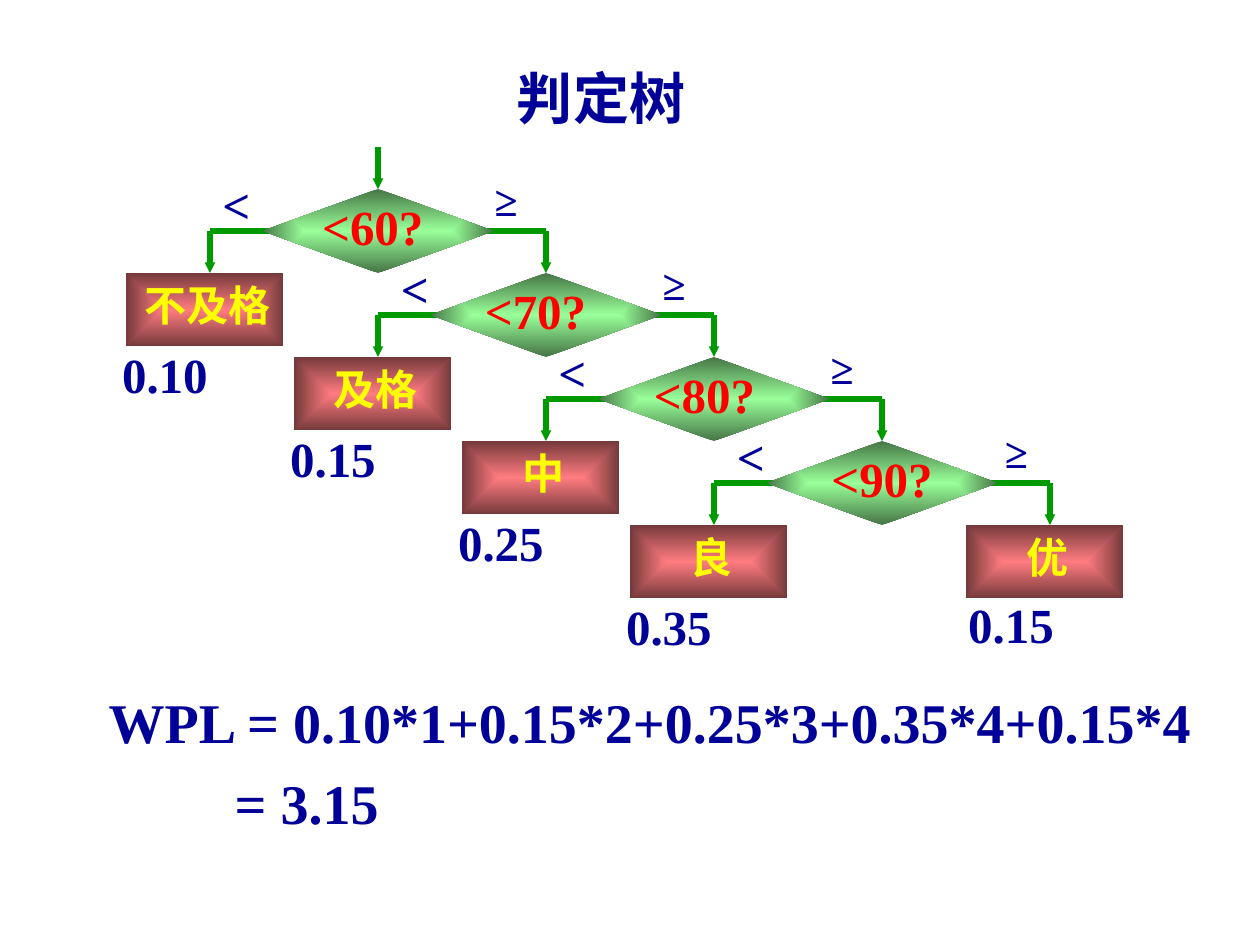
from lxml import etree
from pptx import Presentation
from pptx.dml.color import RGBColor
from pptx.enum.shapes import MSO_CONNECTOR, MSO_SHAPE
from pptx.enum.text import MSO_ANCHOR, MSO_AUTO_SIZE, PP_ALIGN
from pptx.oxml.ns import qn
from pptx.util import Pt

STRAIGHT = MSO_CONNECTOR.STRAIGHT
DECISION = MSO_SHAPE.FLOWCHART_DECISION
RECTANGLE = MSO_SHAPE.RECTANGLE
MIDDLE = MSO_ANCHOR.MIDDLE
FIT_TEXT = MSO_AUTO_SIZE.SHAPE_TO_FIT_TEXT
LEFT, CENTER = PP_ALIGN.LEFT, PP_ALIGN.CENTER

COLORS = {
    "ink": "000099",
    "branch": "009900",
    "question": "FF0000",
    "grade": "FFFF00",
    "decision_core": "99FF99",
    "decision_edge": "467546",
    "leaf_core": "FF7C80",
    "leaf_edge": "75393B",
}

STEP_X, STEP_Y = 96, 48  # offset from one tree level to the next
LEAF_W, LEAF_H = 90, 42
DECISION_W, DECISION_H = 132, 48
GRADE_SIZE = 24

# question, its left; left of "<"; left of "≥"; grade and weight of the leaf
LEVELS = [
    ("<60?", 176, 120, 275.5, "不及格", "0.10"),
    ("<70?", 269, 222, 371.5, "及格", "0.15"),
    ("<80?", 365.5, 312, 467.5, "中", "0.25"),
    ("<90?", 467, 414, 567, "良", "0.35"),
]


def color(name):
    return RGBColor.from_string(COLORS[name])


def write(paragraph, text, size=28, ink="ink", align=CENTER, before=None, indent=0):
    if indent:
        paragraph._p.get_or_add_pPr().set("marL", str(Pt(indent)))
    paragraph.alignment = align
    if before:
        paragraph.space_before = Pt(before)
    run = paragraph.add_run()
    run.text = text
    run.font.name = "Times New Roman"
    run.font.size = Pt(size)
    run.font.bold = True
    run.font.color.rgb = color(ink)


class TreeSlide:
    """Holds the slide and draws every kind of element on it, in points."""

    def __init__(self, slide):
        self.slide = slide

    def text(self, left, top, width, height, text, **style):
        box = self.slide.shapes.add_textbox(Pt(left), Pt(top), Pt(width), Pt(height))
        frame = box.text_frame
        frame.word_wrap = False
        frame.auto_size = FIT_TEXT
        frame.vertical_anchor = MIDDLE
        write(frame.paragraphs[0], text, **style)
        return frame

    def glow(self, kind, left, top, width, height, name):
        """Add a shape shaded from its centre to its edges."""
        shape = self.slide.shapes.add_shape(
            kind, Pt(left), Pt(top), Pt(width), Pt(height))
        shape.shadow.inherit = False
        shape.line.fill.background()
        shape.fill.gradient()
        for stop, part in zip(shape.fill.gradient_stops, ("core", "edge")):
            stop.color.rgb = color(f"{name}_{part}")
        gradient = shape._element.spPr.find(qn("a:gradFill"))
        gradient.remove(gradient.find(qn("a:lin")))
        shading = etree.SubElement(gradient, qn("a:path"), path="rect")
        etree.SubElement(shading, qn("a:fillToRect"),
                         l="50000", t="50000", r="50000", b="50000")
        return shape

    def line(self, x1, y1, x2, y2, arrow=False):
        connector = self.slide.shapes.add_connector(
            STRAIGHT, Pt(x1), Pt(y1), Pt(x2), Pt(y2))
        connector.line.color.rgb = color("branch")
        connector.line.width = Pt(3)
        if arrow:
            etree.SubElement(connector.line._get_or_add_ln(), qn("a:tailEnd"),
                             type="triangle", w="sm", len="sm")
        etree.SubElement(connector._element.spPr, qn("a:effectLst"))
        return connector

    def decision(self, left, top):
        """Add a diamond with the two arms that leave its sides."""
        middle = top + DECISION_H / 2
        right = left + DECISION_W
        self.line(left + 6, middle, left - 30, middle)
        self.line(right - 6, middle, right + 30, middle)
        return self.glow(DECISION, left, top, DECISION_W, DECISION_H, "decision")

    def leaf(self, left, top, grade):
        arrow_x = left + 48
        self.line(arrow_x, top - 24, arrow_x, top, arrow=True)
        self.glow(RECTANGLE, left, top, LEAF_W, LEAF_H, "leaf")
        width = GRADE_SIZE * len(grade) + 14.4
        self.text(left + 46.4 - width / 2, top, width, 36, grade,
                  size=GRADE_SIZE, ink="grade")


def main():
    deck = Presentation()
    deck.slide_width, deck.slide_height = Pt(720), Pt(540)
    tree = TreeSlide(deck.slides.add_slide(deck.slide_layouts[6]))

    tree.text(287.5, 32.5, 112, 46, "判定树", size=32)

    for level, (question, question_x, less_x, more_x, grade, weight) in enumerate(LEVELS):
        dx, dy = level * STEP_X, level * STEP_Y
        diamond = tree.decision(150 + dx, 108 + dy)
        entry = tree.line(216 + dx, 84 + dy, 216 + dx, 108 + dy, arrow=True)
        entry.end_connect(diamond, 0)
        tree.leaf(72 + dx, 156 + dy, grade)
        tree.text(question_x, 108.5 + dy, 74, 41, question, ink="question")
        tree.text(62.5 + dx, 193 + dy, 63.5, 41, weight)
        tree.text(less_x, 96 + dy, 30, 41, "<")
        tree.text(more_x, 96 + dy, 27.5, 36, "≥", size=24)

    last = len(LEVELS)
    tree.leaf(72 + (last + 1) * STEP_X, 156 + (last - 1) * STEP_Y, "优")
    tree.text(546, 336, 63.5, 41, "0.15")

    formula = tree.text(55, 389, 635, 92, "WPL = 0.10*1+0.15*2+0.25*3+0.35*4+0.15*4",
                        size=32, align=LEFT)
    write(formula.add_paragraph(), "= 3.15", size=32, align=LEFT, before=8, indent=72)

    deck.save("out.pptx")


if __name__ == "__main__":
    main()
